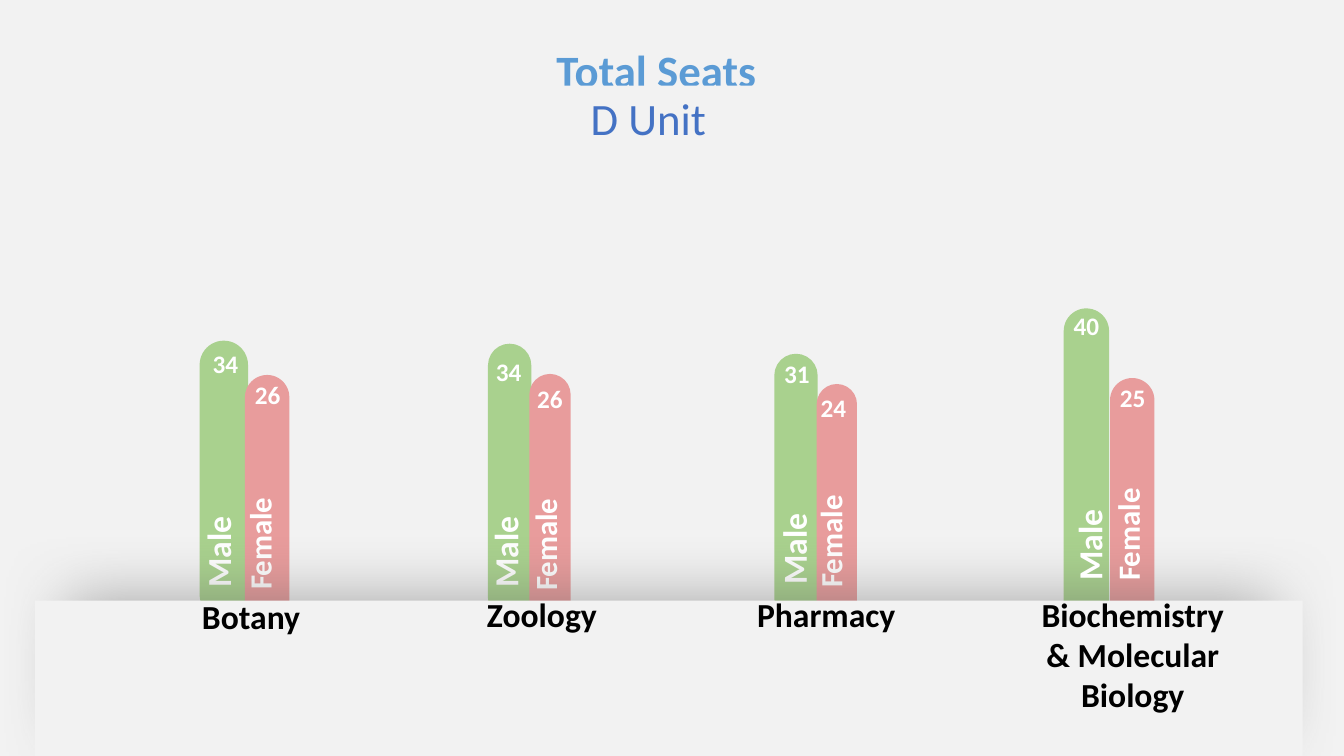
from dataclasses import dataclass

from lxml import etree
from pptx import Presentation
from pptx.dml.color import RGBColor
from pptx.enum.shapes import MSO_SHAPE
from pptx.enum.text import MSO_AUTO_SIZE, PP_ALIGN
from pptx.oxml.ns import qn
from pptx.util import Pt

PX = 9144
BACKGROUND = RGBColor(0xF2, 0xF2, 0xF2)
GREEN = RGBColor(0xA9, 0xD1, 0x8E)
PINK = RGBColor(0xE8, 0x9C, 0x9C)
WHITE = RGBColor(0xFF, 0xFF, 0xFF)
BLACK = RGBColor(0x00, 0x00, 0x00)
TITLE_BLUE = RGBColor(0x5B, 0x9B, 0xD5)
UNIT_BLUE = RGBColor(0x44, 0x72, 0xC4)
RECTANGLE = MSO_SHAPE.RECTANGLE
ROUNDED = MSO_SHAPE.ROUNDED_RECTANGLE
LEFT, CENTER = PP_ALIGN.LEFT, PP_ALIGN.CENTER
GROW = MSO_AUTO_SIZE.SHAPE_TO_FIT_TEXT


@dataclass
class Column:
    gender: str
    size: int
    color: RGBColor
    bar: tuple
    gender_box: tuple
    seats: int
    seats_at: tuple
    wrap: bool = True


def male(*values):
    return Column("Male", 24, GREEN, *values)


def female(*values, wrap=False):
    return Column("Female", 22, PINK, *values, wrap=wrap)


COLUMNS = [
    male((198, 338, 48, 276), (160, 512, 112, 50), 34, (201, 341)),
    female((243, 372, 44, 250), (201, 515, 113, 47), 26, (243, 371)),
    male((484, 341, 43, 274), (445, 512, 112, 50), 34, (482, 349)),
    female((525, 371, 41, 254), (484, 516, 113, 47), 26, (523, 375)),
    male((768, 351, 43, 264), (731, 509, 112, 50), 31, (768, 351)),
    female((810, 381, 40, 236), (767, 513, 113, 47), 24, (804, 384)),
    male((1055, 306, 45, 350), (1024, 505, 112, 50), 40, (1055, 303)),
    female((1101, 375, 44, 251), (1001, 445, 235, 47), 25, (1101, 374), wrap=True),
]
BEHIND_FLOOR, BEFORE_FLOOR = COLUMNS[:6], COLUMNS[6:]

DEPARTMENTS = [
    ("Botany", (156, 586, 186, 50)),
    ("Zoology", (395, 584, 285, 50)),
    ("Pharmacy", (679, 584, 281, 50)),
    ("Biochemistry & Molecular Biology", (1009, 584, 229, 131)),
]


class SeatSlide:
    def __init__(self, presentation, font="Calibri"):
        self.font = font
        self.slide = presentation.slides.add_slide(presentation.slide_layouts[6])
        fill = self.slide.background.fill
        fill.solid()
        fill.fore_color.rgb = BACKGROUND

    def box(self, kind, area, color):
        shape = self.slide.shapes.add_shape(kind, *(length * PX for length in area))
        shape.shadow.inherit = False
        shape.fill.solid()
        shape.fill.fore_color.rgb = color
        shape.line.fill.background()
        return shape

    def bar(self, column):
        shape = self.box(ROUNDED, column.bar, column.color)
        shape.adjustments[0] = 0.5

    def put_text(self, shape, text, size, color, bold=True, align=LEFT, wrap=True):
        frame = shape.text_frame
        frame.word_wrap = wrap
        frame.auto_size = GROW
        paragraph = frame.paragraphs[0]
        paragraph.alignment = align
        run = paragraph.add_run()
        run.text = text
        run.font.name = self.font
        run.font.size = Pt(size)
        run.font.bold = bold
        run.font.color.rgb = color

    def text(self, area, text, size, color, rotation=0, **style):
        shape = self.slide.shapes.add_textbox(*(length * PX for length in area))
        shape.rotation = rotation
        self.put_text(shape, text, size, color, **style)

    def labels(self, column):
        self.text(column.gender_box, column.gender, column.size, WHITE,
                  rotation=270, wrap=column.wrap)
        self.text((*column.seats_at, 50, 40), str(column.seats), 18, WHITE)

    def glow(self, shape):
        effects = shape._element.spPr.find(qn("a:effectLst"))
        shadow = etree.SubElement(effects, qn("a:outerShdw"), blurRad=str(Pt(47)),
                                  dist=str(Pt(4)), dir="16200000", rotWithShape="0")
        color = etree.SubElement(shadow, qn("a:srgbClr"), val="595959")
        etree.SubElement(color, qn("a:alpha"), val="50000")

    def floor(self):
        self.glow(self.box(RECTANGLE, (66, 600, 1197, 131), BACKGROUND))
        self.box(RECTANGLE, (35, 596, 1257, 156), BACKGROUND)


def main():
    presentation = Presentation()
    presentation.slide_width = 1333 * PX
    presentation.slide_height = 750 * PX
    seats = SeatSlide(presentation)
    for column in COLUMNS:
        seats.bar(column)
    for column in BEHIND_FLOOR:
        seats.labels(column)
    seats.floor()
    for column in BEFORE_FLOOR:
        seats.labels(column)
    for name, area in DEPARTMENTS:
        seats.text(area, name, 24, BLACK, align=CENTER)
    seats.text((396, 37, 510, 64), "Total Seats", 32, TITLE_BLUE, align=CENTER)
    unit = seats.box(RECTANGLE, (487, 85, 312, 64), BACKGROUND)
    seats.put_text(unit, "D Unit", 32, UNIT_BLUE, bold=False, align=CENTER)
    presentation.save("out.pptx")


if __name__ == "__main__":
    main()
